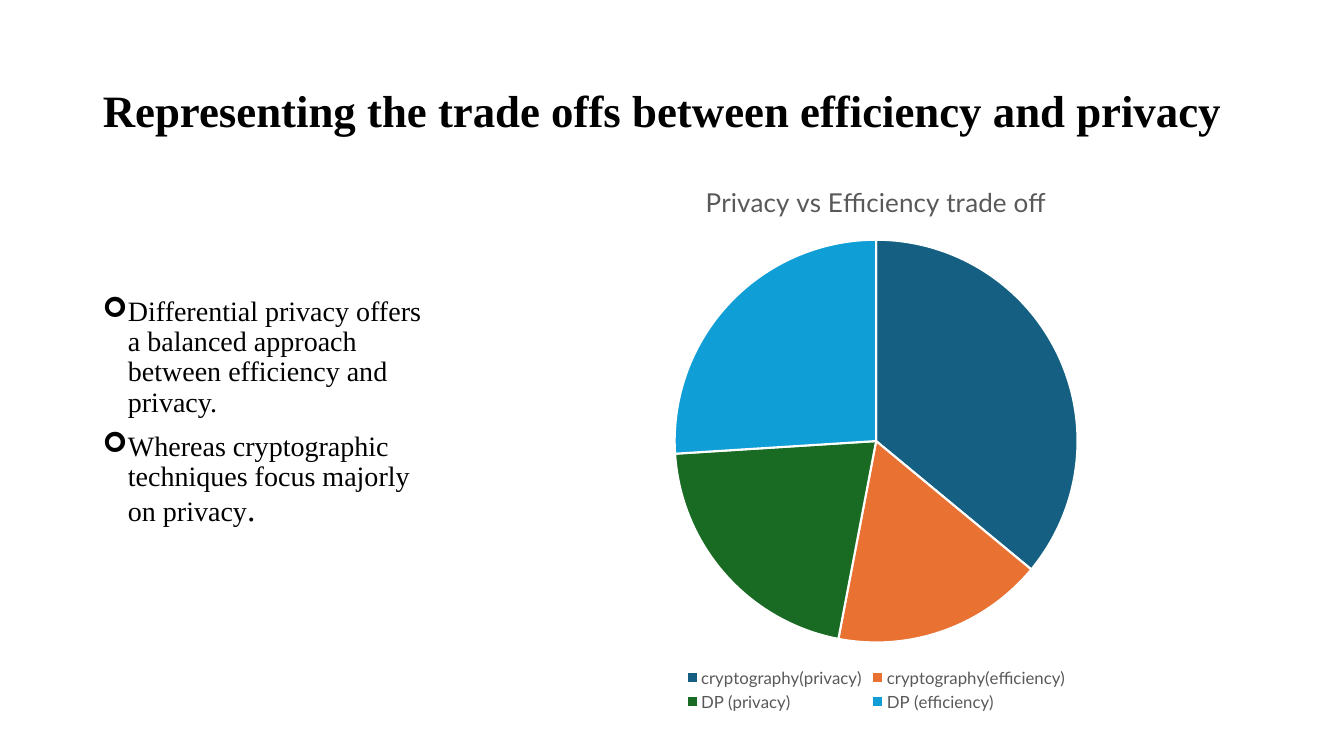
from dataclasses import dataclass

from lxml import etree
from pptx import Presentation
from pptx.chart.data import CategoryChartData
from pptx.dml.color import RGBColor
from pptx.enum.chart import XL_CHART_TYPE, XL_LEGEND_POSITION
from pptx.enum.text import MSO_ANCHOR, MSO_AUTO_SIZE, PP_ALIGN
from pptx.oxml.ns import qn
from pptx.util import Inches, Pt

PIE = XL_CHART_TYPE.PIE
BOTTOM = XL_LEGEND_POSITION.BOTTOM
MIDDLE = MSO_ANCHOR.MIDDLE
TOP = MSO_ANCHOR.TOP
NO_AUTOFIT = MSO_AUTO_SIZE.NONE
LEFT = PP_ALIGN.LEFT
TITLE_ONLY = 5


@dataclass(frozen=True)
class Theme:
    text_font: str = "Times New Roman"
    chart_font: str = "Lato"
    ink: str = "000000"
    muted: str = "595959"
    paper: str = "FFFFFF"
    slices: tuple = ("156082", "E97132", "196B24", "0F9ED5")
    title_size: float = 32
    body_size: float = 20
    full_stop_size: float = 24
    chart_size: float = 10
    chart_title_size: float = 18.6
    legend_size: float = 12


THEME = Theme()

HEADING = "Representing the trade offs between efficiency and privacy"
POINTS = [
    [("Differential privacy offers a balanced approach between efficiency and privacy.",
      THEME.body_size)],
    [("Whereas cryptographic techniques focus majorly on privacy", THEME.body_size),
     (".", THEME.full_stop_size)],
]
CHART_TITLE = "Privacy vs Efficiency trade off"
SHARES = {
    "cryptography(privacy)": 36,
    "cryptography(efficiency)": 17,
    "DP (privacy)": 21,
    "DP (efficiency)": 26,
}


def style_font(font, name, size, color, bold=False):
    font.name = name
    font.size = Pt(size)
    font.bold = bold
    font.color.rgb = RGBColor.from_string(color)


def set_heading(slide, text, left, top, width, height):
    heading = slide.shapes.title
    heading.left, heading.top = Inches(left), Inches(top)
    heading.width, heading.height = Inches(width), Inches(height)
    frame = heading.text_frame
    frame.text = text
    frame.auto_size = NO_AUTOFIT
    frame.vertical_anchor = MIDDLE
    paragraph = frame.paragraphs[0]
    paragraph.alignment = LEFT
    paragraph.line_spacing = 0.9
    style_font(paragraph.runs[0].font, THEME.text_font, THEME.title_size, THEME.ink, bold=True)


def set_bullet(paragraph, symbol, indent):
    properties = paragraph._p.get_or_add_pPr()
    properties.set("marL", str(Inches(indent)))
    properties.set("indent", str(-Inches(indent)))
    etree.SubElement(properties, qn("a:buFont"), typeface="Wingdings")
    etree.SubElement(properties, qn("a:buChar"), char=symbol)


def add_points(slide, points, left, top, width, height):
    box = slide.shapes.add_textbox(Inches(left), Inches(top), Inches(width), Inches(height))
    frame = box.text_frame
    frame.word_wrap = True
    frame.vertical_anchor = TOP
    for index, pieces in enumerate(points):
        paragraph = frame.add_paragraph() if index else frame.paragraphs[0]
        paragraph.line_spacing = 0.9
        paragraph.space_before = Pt(10 if index else 0)
        set_bullet(paragraph, "➢", 0.25)
        for text, size in pieces:
            run = paragraph.add_run()
            run.text = text
            style_font(run.font, THEME.text_font, size, THEME.ink)


def add_pie(slide, title, shares, left, top, width, height):
    chart_data = CategoryChartData()
    chart_data.categories = list(shares)
    chart_data.add_series(title, list(shares.values()))
    chart = slide.shapes.add_chart(
        PIE, Inches(left), Inches(top), Inches(width), Inches(height), chart_data
    ).chart
    style_font(chart.font, THEME.chart_font, THEME.chart_size, THEME.ink)

    chart.has_title = True
    chart.chart_title.include_in_layout = False
    chart.chart_title.text_frame.text = title
    title_run = chart.chart_title.text_frame.paragraphs[0].runs[0]
    style_font(title_run.font, THEME.chart_font, THEME.chart_title_size, THEME.muted)

    chart.has_legend = True
    chart.legend.position = BOTTOM
    chart.legend.include_in_layout = False
    style_font(chart.legend.font, THEME.chart_font, THEME.legend_size, THEME.muted)

    plot = chart.plots[0]
    plot.vary_by_categories = True
    for index, color in enumerate(THEME.slices):
        wedge = plot.series[0].points[index].format
        wedge.fill.solid()
        wedge.fill.fore_color.rgb = RGBColor.from_string(color)
        wedge.line.color.rgb = RGBColor.from_string(THEME.paper)
        wedge.line.width = Pt(1.5)


def main():
    presentation = Presentation()
    presentation.slide_width = Inches(13.33)
    presentation.slide_height = Inches(7.5)
    slide = presentation.slides.add_slide(presentation.slide_layouts[TITLE_ONLY])
    set_heading(slide, HEADING, 0.92, 0.4, 11.5, 1.45)
    add_points(slide, POINTS, 0.92, 2.9, 3.45, 4.2)
    add_pie(slide, CHART_TITLE, SHARES, 4.61, 1.61, 8.16, 5.49)
    presentation.save("out.pptx")


if __name__ == "__main__":
    main()
